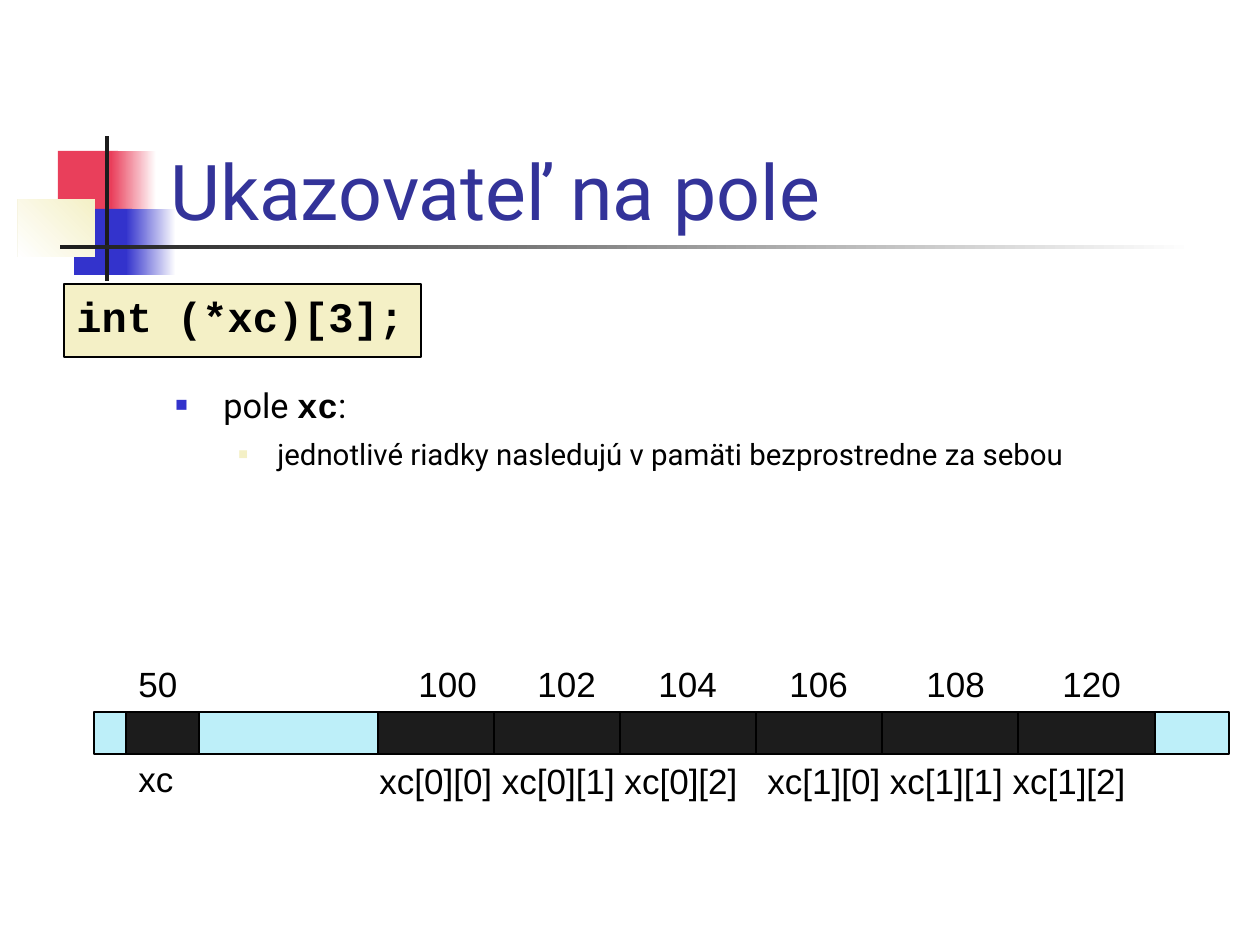
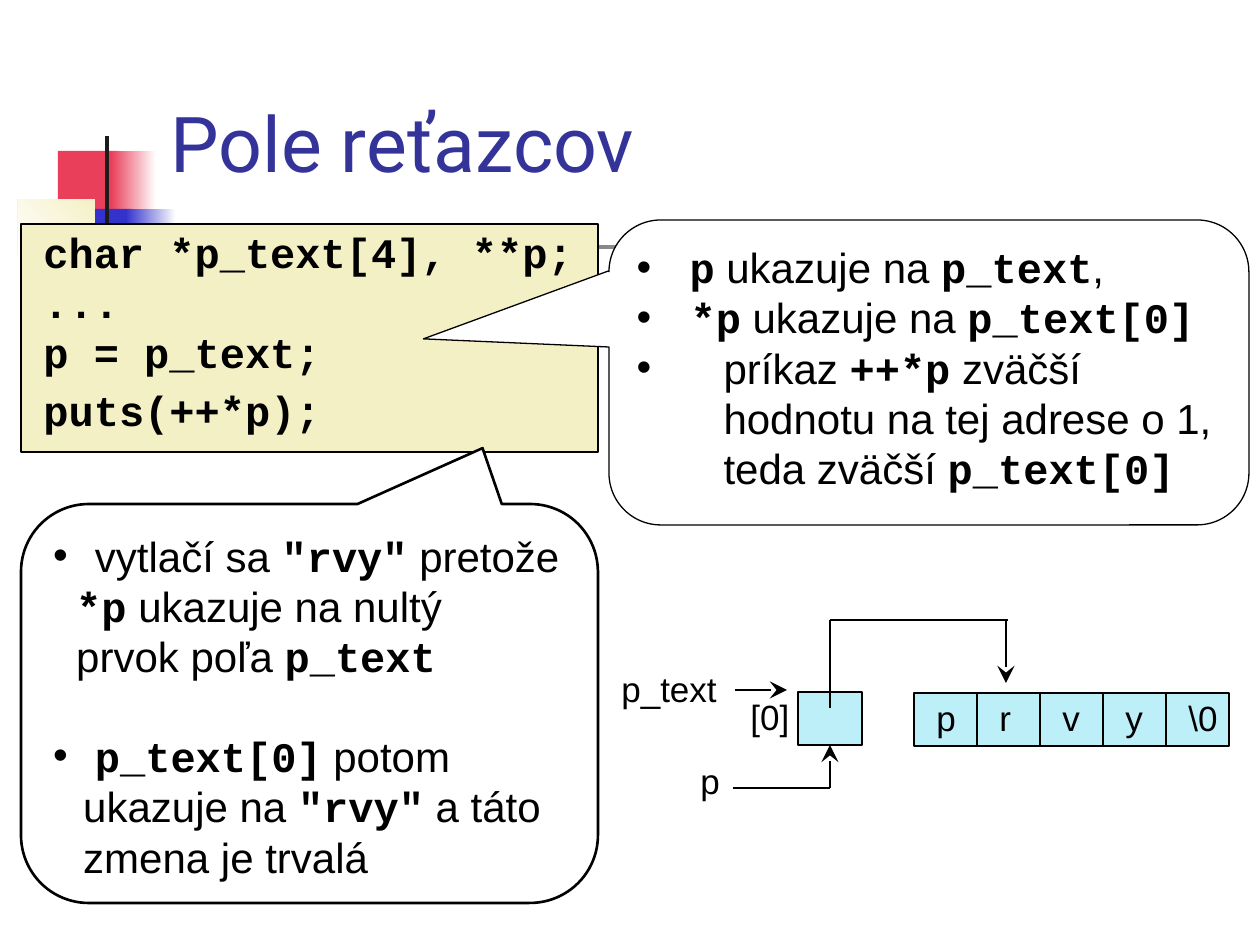
from dataclasses import dataclass

from lxml import etree
from pptx import Presentation
from pptx.dml.color import RGBColor
from pptx.enum.shapes import MSO_CONNECTOR, MSO_SHAPE
from pptx.enum.text import MSO_ANCHOR, PP_ALIGN
from pptx.oxml.ns import qn
from pptx.util import Emu, Pt

PX = 914400 // 126


@dataclass(frozen=True)
class Theme:
    red: str = "E93F5B"
    blue: str = "3333CC"
    cream: str = "F4F0C6"
    dark: str = "1C1C1C"
    sky: str = "BDEFF9"
    white: str = "FFFFFF"
    black: str = "000000"
    title: str = "333399"
    heading_font: str = "Roboto"
    label_font: str = "Arial"
    code_font: str = "Courier New"
    title_size: float = 44
    code_size: float = 24
    label_size: float = 20
    body_size: float = 19.6
    detail_size: float = 16.8
    thin: float = 0.75
    thick: float = 1.5


THEME = Theme()

# Shared decoration: box, fill (one colour, or first colour, last colour, angle)
DECORATION = [
    ((58, 151, 60, 66), THEME.red),
    ((111, 151, 45, 66), (THEME.white, THEME.red, 180)),
    ((74, 209, 58, 66), THEME.blue),
    ((126, 209, 50, 66), (THEME.white, THEME.blue, 180)),
    ((18, 199, 77, 58), (THEME.cream, THEME.white, 225)),
    ((105, 136, 4, 145), THEME.dark),
    ((60, 245, 1134, 4), (THEME.white, THEME.dark, 180)),
]

# Text between backticks is set as bold code.
POINTER_CODE = ["int (*xc)[3];"]
POINTER_BULLETS = [
    dict(text="pole `xc`:", margin=48, hanging=48, bullet=("■", THEME.blue, 60)),
    dict(text="jednotlivé riadky nasledujú v pamäti bezprostredne za sebou",
         size=THEME.detail_size, margin=102, hanging=39, before=6,
         bullet=("■", THEME.cream, 55)),
]
MEMORY_TOP, MEMORY_HEIGHT = 712, 42
# Left edge, right edge, fill
MEMORY_BLOCKS = [
    (378, 1155, THEME.dark),
    (1155, 1229, THEME.sky),
    (94, 126, THEME.sky),
    (126, 199, THEME.dark),
    (199, 378, THEME.sky),
]
MEMORY_DIVIDERS = [494, 620, 756, 882, 1018]
# Text, left, top, width
MEMORY_LABELS = [
    ("50", 126, 656, 70),
    ("100", 406, 656, 90),
    ("102", 525, 656, 90),
    ("104", 646, 656, 90),
    ("106", 777, 656, 90),
    ("108", 914, 656, 90),
    ("120", 1050, 656, 90),
    ("xc", 126, 751, 66),
    ("xc[0][0] xc[0][1] xc[0][2]", 367, 753, 390),
    ("xc[1][0] xc[1][1] xc[1][2]", 755, 753, 390),
]

STRING_CODE = ["char *p_text[4], **p;", "...", "p = p_text;"]
PRINT_CODE = ["puts(++*p);"]
DOT = ("•", THEME.black, 100)
POINTER_NOTES = [
    dict(text="`p` ukazuje na `p_text`,", margin=53, hanging=53, bullet=DOT),
    dict(text="`*p` ukazuje na `p_text[0]`", margin=54, hanging=54, bullet=DOT),
    dict(text="príkaz `++*p` zväčší hodnotu na tej adrese o 1, "
              "teda zväčší `p_text[0]`", margin=87, hanging=87, bullet=DOT),
]
PRINT_NOTES = [
    dict(text=' vytlačí sa `"rvy"` pretože', margin=30, hanging=30, bullet=DOT),
    dict(text="`*p` ukazuje na nultý", margin=23),
    dict(text="prvok poľa `p_text`", margin=23),
    dict(text=' `p_text[0]` potom ukazuje na `"rvy"` a táto zmena je trvalá',
         margin=30, hanging=30, before=28, bullet=DOT),
]
# Box, line width, adjustments, notes
CALLOUTS = [
    ((609, 220, 640, 305), THEME.thin, (-0.79, -0.11, 0.17), POINTER_NOTES),
    ((21, 504, 577, 399), THEME.thick, (0.3, -0.64, 0.17), PRINT_NOTES),
]
STRING_CHARACTERS = ["p", "r", "v", "y", "\\0"]
CHARACTER_LEFT, CHARACTER_TOP, CHARACTER_WIDTH, CHARACTER_HEIGHT = 914, 693, 63, 53
POINTER_BOX = (798, 692, 64, 53)
POINTER_LABELS = [
    ("p_text", 609, 661, 127),
    ("[0]", 738, 689, 70),
    ("p", 688, 753, 50),
]
# Start, end, arrowhead at the end
POINTER_LINES = [
    ((735, 690), (787, 690), True),
    ((733, 788), (830, 788), False),
    ((830, 708), (830, 620), False),
    ((830, 620), (1008, 620), False),
    ((1006, 620), (1006, 683), True),
]


def scaled(lengths):
    return [Emu(length * PX) for length in lengths]


def color(value):
    return RGBColor.from_string(value)


def add_box(slide, box, fill, line_width=THEME.thin, kind=MSO_SHAPE.RECTANGLE,
            adjustments=()):
    shape = slide.shapes.add_shape(kind, *scaled(box))
    shape.shadow.inherit = False
    for index, value in enumerate(adjustments):
        shape.adjustments[index] = value
    if isinstance(fill, tuple):
        first, last, angle = fill
        shape.fill.gradient()
        shape.fill.gradient_angle = angle
        for stop, value in zip(shape.fill.gradient_stops, (first, last)):
            stop.color.rgb = color(value)
    else:
        shape.fill.solid()
        shape.fill.fore_color.rgb = color(fill)
    if line_width:
        shape.line.color.rgb = color(THEME.black)
        shape.line.width = Pt(line_width)
    else:
        shape.line.fill.background()
    return shape


def set_indent(paragraph, margin=0, hanging=0, bullet=None):
    properties = paragraph._p.get_or_add_pPr()
    properties.set("marL", str(margin * PX))
    properties.set("indent", str(-hanging * PX))
    if bullet:
        symbol, bullet_color, percent = bullet
        holder = etree.SubElement(properties, qn("a:buClr"))
        etree.SubElement(holder, qn("a:srgbClr"), val=bullet_color)
        etree.SubElement(properties, qn("a:buSzPct"), val=str(percent * 1000))
        etree.SubElement(properties, qn("a:buFont"), typeface=THEME.label_font)
        etree.SubElement(properties, qn("a:buChar"), char=symbol)


def write(shape, paragraphs, font, size, text_color=THEME.black,
          anchor=MSO_ANCHOR.TOP, wrap=True):
    """Fill a shape with paragraphs given as strings or as dicts of format values."""
    frame = shape.text_frame
    frame.word_wrap = wrap
    frame.vertical_anchor = anchor
    for index, item in enumerate(paragraphs):
        item = item if isinstance(item, dict) else dict(text=item)
        paragraph = frame.add_paragraph() if index else frame.paragraphs[0]
        paragraph.alignment = PP_ALIGN.LEFT
        if "before" in item:
            paragraph.space_before = Pt(item["before"])
        set_indent(paragraph, item.get("margin", 0), item.get("hanging", 0),
                   item.get("bullet"))
        for part, text in enumerate(item["text"].split("`")):
            if not text:
                continue
            is_code = part % 2 == 1
            run = paragraph.add_run()
            run.text = text
            run.font.color.rgb = color(text_color)
            values = dict(name=THEME.code_font if is_code else font,
                          size=Pt(item.get("size", size)), bold=is_code)
            for name, value in values.items():
                setattr(run.font, name, value)


def add_text(slide, box, paragraphs, font, size, **options):
    write(slide.shapes.add_textbox(*scaled(box)), paragraphs, font, size, **options)


def add_label(slide, text, left, top, width):
    add_text(slide, (left, top, width, 55), [text],
             THEME.label_font, THEME.label_size, wrap=False)


def add_code(slide, box, lines):
    add_text(slide, box, [f"`{line}`" for line in lines],
             THEME.code_font, THEME.code_size, wrap=False)


def add_line(slide, start, end, arrow=False, width=THEME.thick):
    connector = slide.shapes.add_connector(MSO_CONNECTOR.STRAIGHT, *scaled(start + end))
    connector.line.color.rgb = color(THEME.black)
    connector.line.width = Pt(width)
    if arrow:
        etree.SubElement(connector.line._get_or_add_ln(), qn("a:tailEnd"),
                         type="stealth", w="lg", len="lg")
    etree.SubElement(connector._element.spPr, qn("a:effectLst"))
    return connector


def add_base_slide(presentation, title, title_box):
    slide = presentation.slides.add_slide(presentation.slide_layouts[6])
    for box, fill in DECORATION:
        add_box(slide, box, fill, line_width=0)
    add_text(slide, title_box, [title], THEME.heading_font, THEME.title_size,
             text_color=THEME.title, anchor=MSO_ANCHOR.BOTTOM)
    return slide


def build_array_pointer(presentation):
    slide = add_base_slide(presentation, "Ukazovateľ na pole", (158, 84, 1074, 158))
    add_text(slide, (163, 378, 1071, 128), POINTER_BULLETS,
             THEME.heading_font, THEME.body_size)
    for left, right, fill in MEMORY_BLOCKS:
        add_box(slide, (left, MEMORY_TOP, right - left, MEMORY_HEIGHT), fill)
    for x in MEMORY_DIVIDERS:
        add_line(slide, (x, MEMORY_TOP), (x, MEMORY_TOP + MEMORY_HEIGHT),
                 width=THEME.thin)
    for label in MEMORY_LABELS:
        add_label(slide, *label)
    add_box(slide, (64, 284, 357, 73), THEME.cream)
    add_code(slide, (64, 284, 367, 63), POINTER_CODE)


def build_string_array(presentation):
    slide = add_base_slide(presentation, "Pole reťazcov", (158, 85, 1074, 109))
    add_box(slide, (21, 224, 577, 228), THEME.cream)
    add_code(slide, (31, 220, 566, 164), STRING_CODE)
    add_code(slide, (31, 378, 308, 63), PRINT_CODE)
    for box, line_width, adjustments, notes in CALLOUTS:
        callout = add_box(slide, box, THEME.white, line_width,
                          MSO_SHAPE.ROUNDED_RECTANGULAR_CALLOUT, adjustments)
        write(callout, notes, THEME.label_font, THEME.code_size)

    pointer_box = add_box(slide, POINTER_BOX, THEME.sky)
    for index, character in enumerate(STRING_CHARACTERS):
        left = CHARACTER_LEFT + index * CHARACTER_WIDTH
        add_box(slide, (left, CHARACTER_TOP, CHARACTER_WIDTH, CHARACTER_HEIGHT), THEME.sky)
        add_label(slide, character, left + 10, CHARACTER_TOP - 3, 60)
    for label in POINTER_LABELS:
        add_label(slide, *label)
    for line in POINTER_LINES:
        add_line(slide, *line)
    add_line(slide, (830, 788), (830, 745), arrow=True).end_connect(pointer_box, 2)


def main():
    presentation = Presentation()
    presentation.slide_width, presentation.slide_height = scaled((1260, 945))
    build_array_pointer(presentation)
    build_string_array(presentation)
    presentation.save("out.pptx")


if __name__ == "__main__":
    main()
